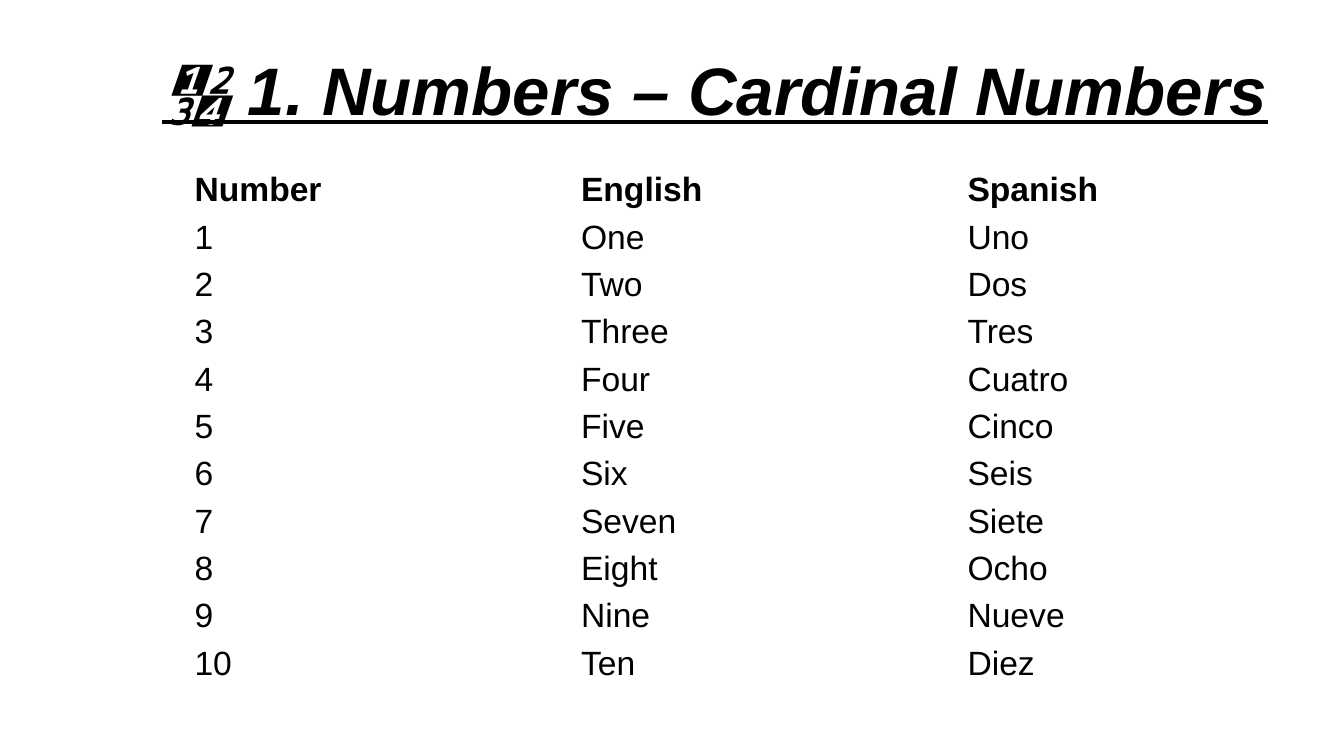
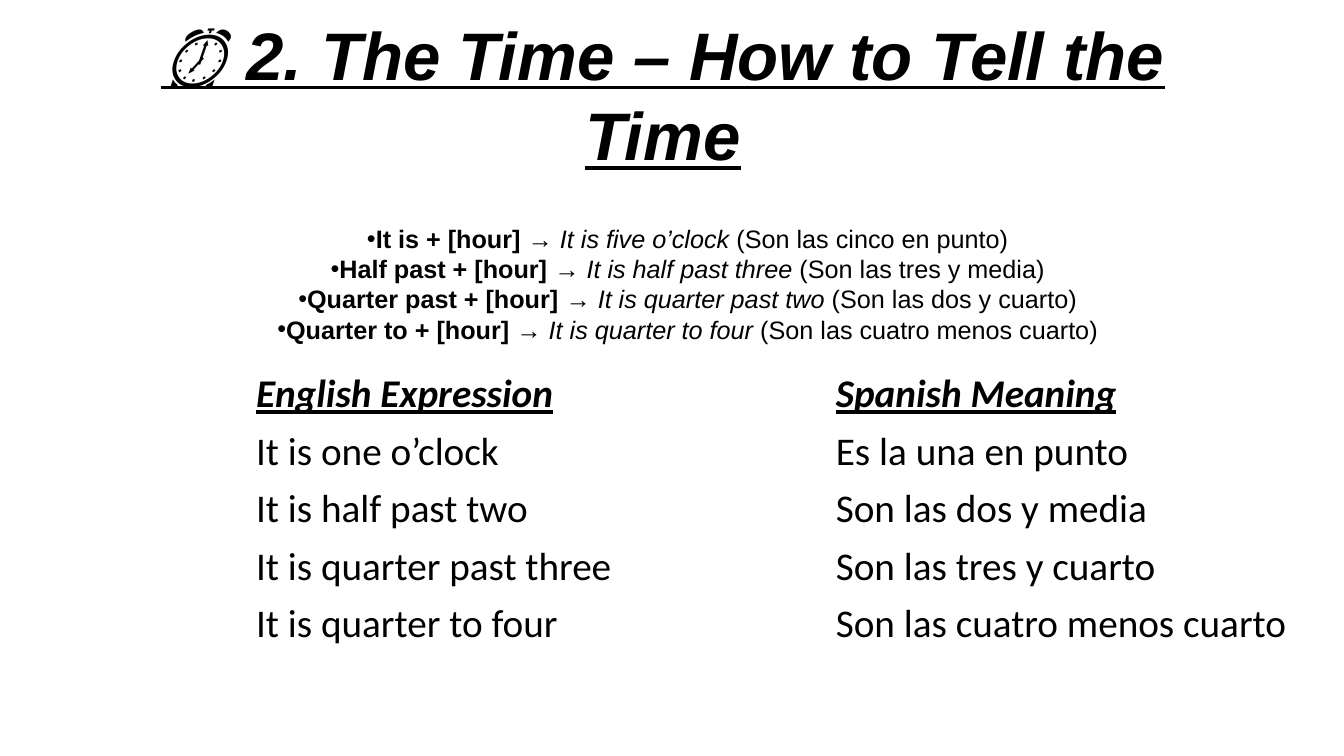
from lxml import etree
from pptx import Presentation
from pptx.dml.color import RGBColor
from pptx.enum.text import MSO_ANCHOR, MSO_AUTO_SIZE, PP_ALIGN
from pptx.oxml.ns import qn
from pptx.util import Inches, Pt

MID = MSO_ANCHOR.MIDDLE
CENTER = PP_ALIGN.CENTER
FIXED = MSO_AUTO_SIZE.NONE
TITLE_ONLY = 5
INK = "000000"
SANS = "Arial"
BODY = "Calibri"
HEAD = dict(size=48, bold=True, italic=True, line=True)

NUMBERS = [
    ("Number", "English", "Spanish"),
    ("1", "One", "Uno"),
    ("2", "Two", "Dos"),
    ("3", "Three", "Tres"),
    ("4", "Four", "Cuatro"),
    ("5", "Five", "Cinco"),
    ("6", "Six", "Seis"),
    ("7", "Seven", "Siete"),
    ("8", "Eight", "Ocho"),
    ("9", "Nine", "Nueve"),
    ("10", "Ten", "Diez"),
]
RULES = [
    ("It is", "It is five o’clock", "Son las cinco en punto"),
    ("Half past", "It is half past three", "Son las tres y media"),
    ("Quarter past", "It is quarter past two", "Son las dos y cuarto"),
    ("Quarter to", "It is quarter to four", "Son las cuatro menos cuarto"),
]
TIMES = [
    ("English Expression", "Spanish Meaning"),
    ("It is one o’clock", "Es la una en punto"),
    ("It is half past two", "Son las dos y media"),
    ("It is quarter past three", "Son las tres y cuarto"),
    ("It is quarter to four", "Son las cuatro menos cuarto"),
]


def color(code):
    return RGBColor.from_string(code)


def write(para, text, size=24, face=SANS, ink=INK, bold=False, italic=False, line=False):
    """Append one formatted run to a paragraph."""
    run = para.add_run()
    run.text = text
    font = run.font
    font.size, font.name = Pt(size), face
    font.bold, font.italic, font.underline = bold, italic, line
    font.color.rgb = color(ink)


def bullet(para):
    props = para._p.get_or_add_pPr()
    props.set("marL", "0")
    props.set("indent", "0")
    etree.SubElement(props, qn("a:buFont")).set("typeface", SANS)
    etree.SubElement(props, qn("a:buChar")).set("char", "•")


class Deck:
    def __init__(self):
        self.file = Presentation()
        self.file.slide_width = Inches(13.33)
        self.file.slide_height = Inches(7.5)
        self.slide = None

    def start(self, text, left, top, width, height, gap=1.0):
        """Add a slide with its title; gap is the title's line spacing."""
        layout = self.file.slide_layouts[TITLE_ONLY]
        self.slide = self.file.slides.add_slide(layout)
        title = self.slide.shapes.title
        title.left, title.top = Inches(left), Inches(top)
        title.width, title.height = Inches(width), Inches(height)
        frame = title.text_frame
        frame.word_wrap, frame.auto_size = True, FIXED
        frame.vertical_anchor = MID
        para = frame.paragraphs[0]
        para.alignment, para.line_spacing = CENTER, gap
        write(para, text, **HEAD)

    def rules(self, items, left, top, width, height):
        box = self.slide.shapes.add_textbox(
            Inches(left), Inches(top), Inches(width), Inches(height))
        frame = box.text_frame
        frame.word_wrap, frame.vertical_anchor = False, MID
        for i, (lead, sample, sense) in enumerate(items):
            para = frame.add_paragraph() if i else frame.paragraphs[0]
            para.alignment = CENTER
            bullet(para)
            write(para, f"{lead} + [hour]", size=18, bold=True)
            write(para, " → ", size=18)
            write(para, sample, size=18, italic=True)
            write(para, f" ({sense})", size=18)

    def table(self, rows, left, top, pitch, head, body, width=11.5):
        """Draw a plain table; head and body hold the text formats."""
        grid = self.slide.shapes.add_table(
            len(rows), len(rows[0]), Inches(left), Inches(top),
            Inches(width), Inches(pitch * len(rows))).table
        grid.first_row = grid.horz_banding = False
        for r, row in enumerate(rows):
            grid.rows[r].height = Inches(pitch)
            for c, text in enumerate(row):
                cell = grid.cell(r, c)
                cell.fill.background()
                cell.vertical_anchor = MID
                cell.margin_top = cell.margin_bottom = Inches(0.04)
                write(cell.text_frame.paragraphs[0], text, **(body if r else head))


def main():
    deck = Deck()
    deck.start("🔢 1. Numbers – Cardinal Numbers", 1.34, 0.2, 11.5, 1.45, gap=0.9)
    deck.table(NUMBERS, 1.83, 1.65, 0.47, dict(bold=True), {})

    deck.start("⏰ 2. The Time – How to Tell the Time", 1.34, 0.07, 10.47, 1.72)
    deck.rules(RULES, 2.61, 2.16, 8.42, 1.31)
    body = dict(size=28, face=BODY)
    head = dict(body, bold=True, italic=True, line=True)
    deck.table(TIMES, 2.44, 3.63, 0.57, head, body)
    deck.file.save("out.pptx")


if __name__ == "__main__":
    main()
